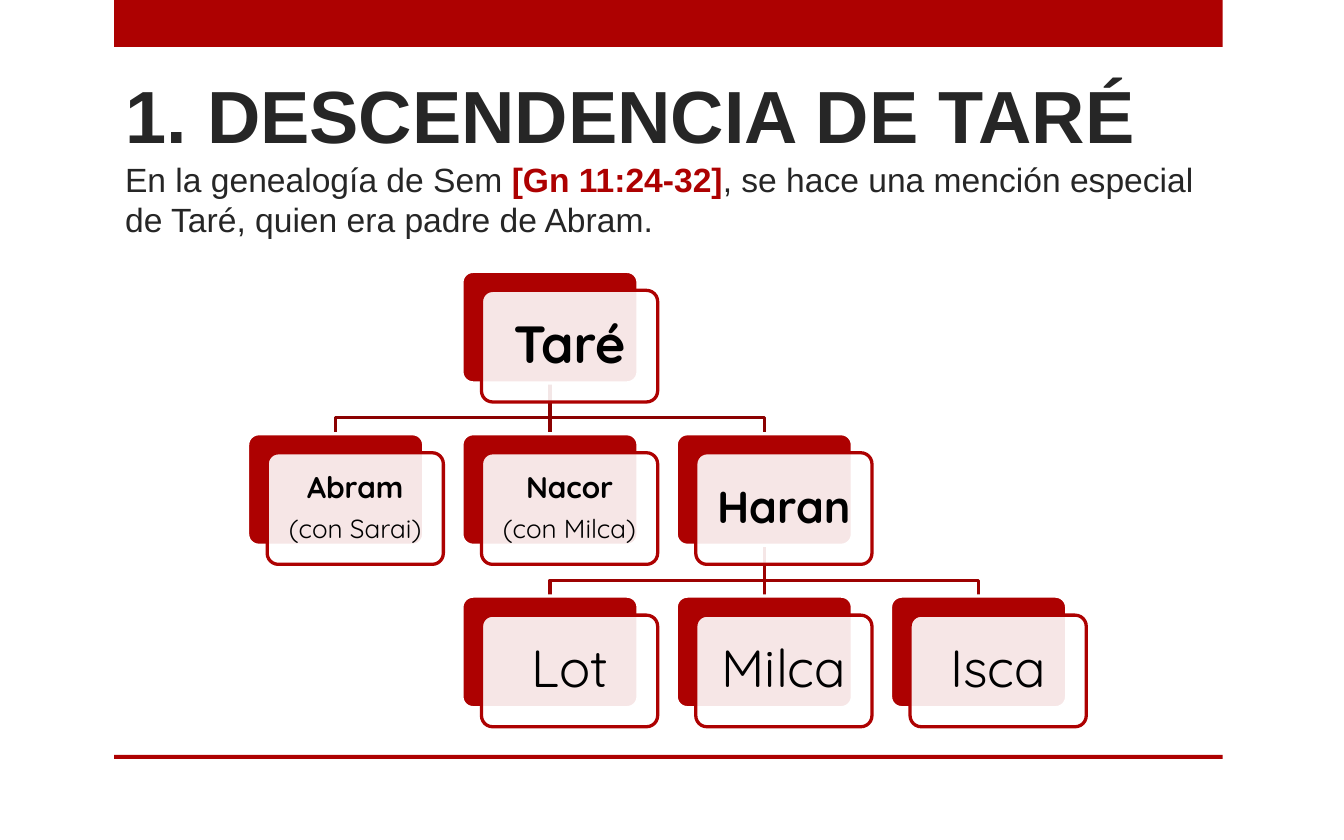
from lxml import etree
from pptx import Presentation
from pptx.dml.color import RGBColor
from pptx.enum.shapes import MSO_CONNECTOR, MSO_SHAPE
from pptx.enum.text import MSO_ANCHOR, MSO_AUTO_SIZE, PP_ALIGN
from pptx.oxml.ns import qn
from pptx.util import Cm, Pt

RECT, ROUND = MSO_SHAPE.RECTANGLE, MSO_SHAPE.ROUNDED_RECTANGLE
STRAIGHT = MSO_CONNECTOR.STRAIGHT
COLORS = {"red": "AD0101", "branch1": "8B0101", "branch2": "9D0101",
          "text": "262626", "black": "000000", "white": "FFFFFF"}

# Content: text, size, bold, colour
HEADING = ("1. DESCENDENCIA DE TARÉ", 39.6, True, "text")
INTRO = [
    ("En la genealogía de Sem ", 18, False, "text"),
    ("[Gn 11:24-32]", 18, True, "red"),
    (", se hace una mención especial de Taré, quien era padre de Abram.", 18, False, "text"),
]
# Family: column, row, inset in cm, lines of (text, size, bold)
PEOPLE = [
    (1, 0, 0.3, [("Taré", 28, True)]),
    (0, 1, 0.17, [("Abram", 16, True), ("(con Sarai)", 14, False)]),
    (1, 1, 0.17, [("Nacor", 16, True), ("(con Milca)", 14, False)]),
    (2, 1, 0.25, [("Haran", 24, True)]),
    (1, 2, 0.3, [("Lot", 28, False)]),
    (2, 2, 0.3, [("Milca", 28, False)]),
    (3, 2, 0.3, [("Isca", 28, False)]),
]
# Branches: parent column, parent row, child columns, colour
BRANCHES = [(2, 1, (3, 2, 1), "branch2"), (1, 0, (1, 2, 0), "branch1")]

# Tree grid in cm
LEFT, TOP, COL_STEP, ROW_STEP = 4.68, 5.13, 4.05, 3.07
CARD_W, CARD_H, SHIFT_X, SHIFT_Y = 3.33, 2.11, 0.37, 0.36
BEND = 0.66


def rgb(name):
    return RGBColor.from_string(COLORS[name])


def add_run(p, text, size, bold, color, font):
    r = p.add_run()
    r.text = text
    r.font.name, r.font.size, r.font.bold = font, Pt(size), bold
    r.font.color.rgb = rgb(color)


def add_box(kind, x, y, w, h, fill, line=None):
    sp = s.shapes.add_shape(kind, Cm(x), Cm(y), Cm(w), Cm(h))
    sp.shadow.inherit = False
    sp.fill.solid()
    sp.fill.fore_color.rgb = rgb(fill)
    if line:
        sp.adjustments[0] = 0.1
        sp.line.color.rgb = rgb(line)
        sp.line.width = Pt(1.75)
    else:
        sp.line.fill.background()
    return sp


def add_branch(col, row, child, color):
    x1, x2 = (LEFT + c * COL_STEP + CARD_W / 2 for c in (col, child))
    y1, y2 = TOP + row * ROW_STEP + CARD_H, TOP + (row + 1) * ROW_STEP
    if col == child:
        sp = s.shapes.add_connector(STRAIGHT, Cm(x1), Cm(y1), Cm(x2), Cm(y2))
        etree.SubElement(sp._element.spPr, qn("a:effectLst"))
    else:
        builder = s.shapes.build_freeform(Cm(x1), Cm(y1))
        corners = [(x1, y1 + BEND), (x2, y1 + BEND), (x2, y2)]
        builder.add_line_segments([(Cm(x), Cm(y)) for x, y in corners], close=False)
        sp = builder.convert_to_shape()
        sp.shadow.inherit = False
        sp.fill.background()
    sp.line.color.rgb = rgb(color)
    sp.line.width = Pt(1.75)


def add_person(col, row, inset, lines):
    x, y = LEFT + col * COL_STEP, TOP + row * ROW_STEP
    add_box(ROUND, x, y, CARD_W, CARD_H, "red", "white")
    card = add_box(ROUND, x + SHIFT_X, y + SHIFT_Y, CARD_W, CARD_H, "white", "red")
    fill = card._element.spPr.find(qn("a:solidFill"))
    etree.SubElement(fill[0], qn("a:alpha"), val="90000")
    tf = card.text_frame
    tf.word_wrap = True
    tf.vertical_anchor = MSO_ANCHOR.MIDDLE
    tf.margin_left = tf.margin_right = tf.margin_top = tf.margin_bottom = Cm(inset)
    for i, (text, size, bold) in enumerate(lines):
        p = tf.add_paragraph() if i else tf.paragraphs[0]
        p.alignment = PP_ALIGN.CENTER
        p.line_spacing = 0.9
        p.space_after = Pt(size * 0.35)
        add_run(p, text, size, bold, "black", "Quicksand")


prs = Presentation()
prs.slide_width, prs.slide_height = Cm(25.4), Cm(15.88)
s = prs.slides.add_slide(prs.slide_layouts[5])

# Top band and bottom rule
add_box(RECT, 2.16, 0, 20.95, 0.89, "red")
add_box(RECT, 2.16, 14.27, 20.95, 0.08, "red")

# Title with introduction
title = s.shapes.title
title.left, title.top, title.width, title.height = Cm(2.11), Cm(0.94), Cm(20.78), Cm(3.71)
tf = title.text_frame
tf.word_wrap = True
tf.auto_size = MSO_AUTO_SIZE.NONE
tf.vertical_anchor = MSO_ANCHOR.BOTTOM
p = tf.paragraphs[0]
p.alignment = PP_ALIGN.LEFT
add_run(p, *HEADING, "Arial")
p.add_line_break()
for part in INTRO:
    add_run(p, *part, "Arial")

# Family tree
for col, row, children, color in BRANCHES:
    for child in children:
        add_branch(col, row, child, color)
for person in PEOPLE:
    add_person(*person)

prs.save("out.pptx")
